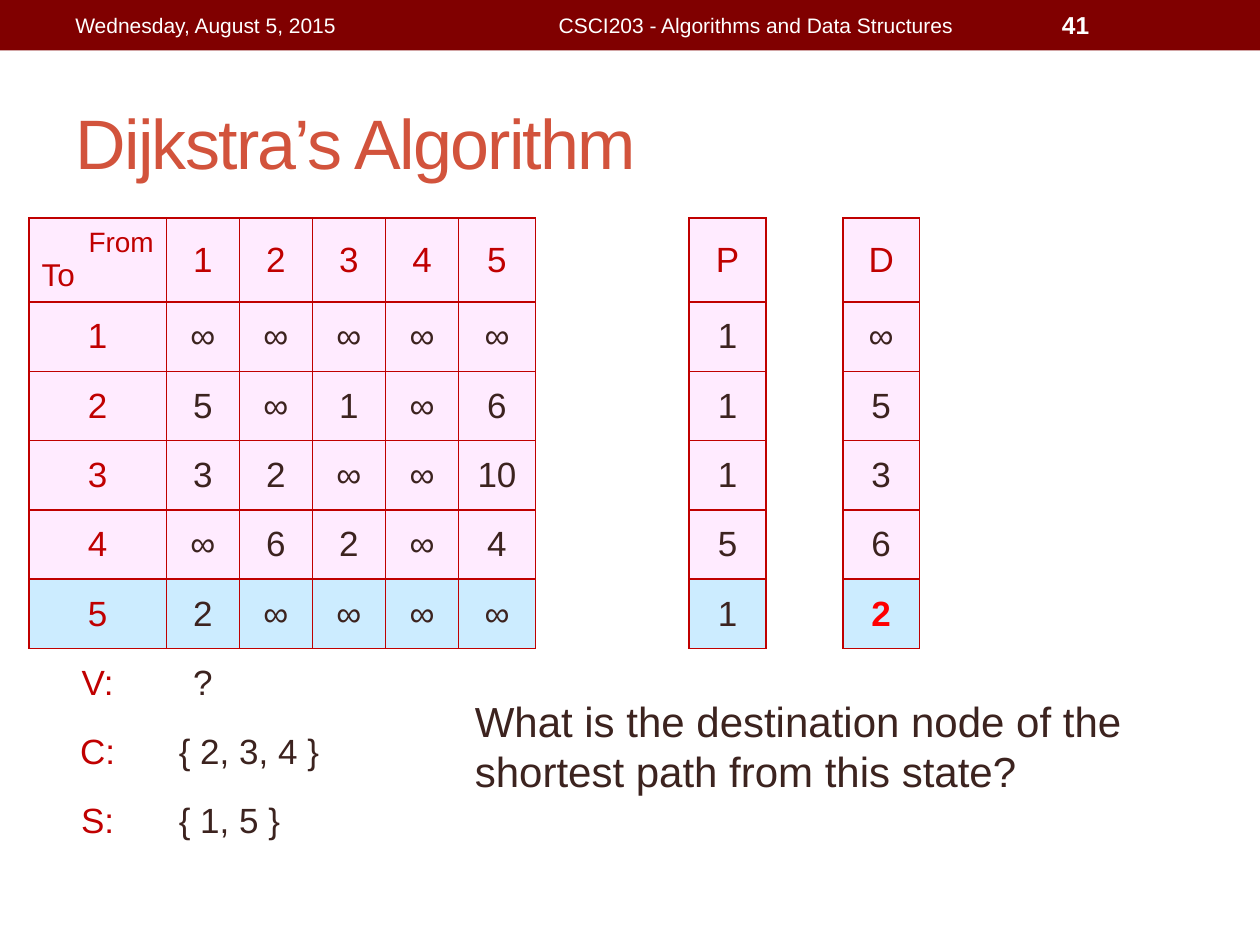
"""Build the slide on Dijkstra's algorithm with its distance, P and D columns."""
import dataclasses

import pptx
import pptx.dml.color
import pptx.enum.shapes
import pptx.enum.text
import pptx.oxml
import pptx.oxml.ns
import pptx.util

Inches = pptx.util.Inches
Align = pptx.enum.text.PP_ALIGN
Middle = pptx.enum.text.MSO_ANCHOR.MIDDLE


@dataclasses.dataclass(frozen=True)
class Theme:
    font: str = "Arial"
    bar: str = "800000"
    white: str = "FFFFFF"
    title: str = "D2533C"
    ink: str = "3C231F"
    label: str = "C00000"
    alert: str = "FF0000"
    pink: str = "FFEBFF"
    blue: str = "CCECFF"
    title_size: int = 40
    question_size: int = 24
    cell_size: int = 20
    to_size: int = 18
    from_size: int = 16
    number_size: int = 14
    header_size: int = 12


THEME = Theme()
NO_GRID_STYLE = "{2D5ABB26-0587-4C30-8999-92F81FD0307C}"
COLUMNS = [1.09] + [0.58] * 4 + [0.61] * 6
ROWS = [0.66] + [0.55] * 8
GAP_COLUMNS = (6, 7, 9)
LAST_NODE_ROW = 5
P_COLUMN, D_COLUMN = 8, 10
WEIGHTS = ["12345", "∞∞∞∞∞", "5∞1∞6", ["3", "2", "∞", "∞", "10"], "∞62∞4", "2∞∞∞∞"]
P_VALUES = "P11151"
D_VALUES = "D∞5362"
STATE = [("V:", "?"), ("C:", "{ 2, 3, 4 }"), ("S:", "{ 1, 5 }")]


def rgb(value):
    """Turn a hex string into a colour."""
    return pptx.dml.color.RGBColor.from_string(value)


def style(para, size, color, align=Align.LEFT, bold=False):
    """Set the font and alignment of a paragraph."""
    para.alignment = align
    para.font.name = THEME.font
    para.font.size = pptx.util.Pt(size)
    para.font.color.rgb = rgb(color)
    para.font.bold = bold


def add_bar(page):
    """Draw the band along the top edge."""
    bar = page.shapes.add_shape(
        pptx.enum.shapes.MSO_SHAPE.RECTANGLE, 0, 0, Inches(10), Inches(0.4))
    bar.shadow.inherit = False
    bar.fill.solid()
    bar.fill.fore_color.rgb = rgb(THEME.bar)
    bar.line.fill.background()


def set_title(page, text):
    """Place and format the title placeholder."""
    title = page.shapes.title
    title.left, title.top = Inches(0.5), Inches(0.58)
    title.width, title.height = Inches(9), Inches(1.08)
    frame = title.text_frame
    frame.text = text
    frame.auto_size = pptx.enum.text.MSO_AUTO_SIZE.NONE
    frame.vertical_anchor = Middle
    para = frame.paragraphs[0]
    style(para, THEME.title_size, THEME.title)
    para.runs[0].font._element.set("spc", "-100")


def add_text(page, text, place, size, color, align=Align.LEFT, bold=False,
             anchor=Middle):
    """Add a wrapped text box with one paragraph."""
    box = page.shapes.add_textbox(*map(Inches, place))
    frame = box.text_frame
    frame.word_wrap = True
    frame.vertical_anchor = anchor
    frame.text = text
    style(frame.paragraphs[0], size, color, align, bold)


def is_filled(row, column):
    """Tell whether a grid position belongs to one of the coloured blocks."""
    return (0 <= row <= LAST_NODE_ROW and 0 <= column < len(COLUMNS)
            and column not in GAP_COLUMNS)


def format_cell(cell, row, column):
    """Draw the edges that touch a coloured cell, clear the others, and fill."""
    cell.vertical_anchor = Middle
    properties = cell._tc.get_or_add_tcPr()
    neighbours = {"L": (0, -1), "R": (0, 1), "T": (-1, 0), "B": (1, 0)}
    namespace = pptx.oxml.ns.nsdecls("a")
    solid = f'<a:solidFill><a:srgbClr val="{THEME.label}"/></a:solidFill>'
    for side, (down, right) in neighbours.items():
        drawn = is_filled(row, column) or is_filled(row + down, column + right)
        properties.append(pptx.oxml.parse_xml(
            f'<a:ln{side} {namespace} w="12700">'
            f'{solid if drawn else "<a:noFill/>"}</a:ln{side}>'))
    if is_filled(row, column):
        cell.fill.solid()
        cell.fill.fore_color.rgb = rgb(
            THEME.blue if row == LAST_NODE_ROW else THEME.pink)
    else:
        cell.fill.background()


def write_cell(cell, text, color, align=Align.CENTER, bold=False):
    """Write one value into a cell."""
    cell.text = text
    style(cell.text_frame.paragraphs[0], THEME.cell_size, color, align, bold)


def write_nodes(table):
    """Write the weights and the P and D columns."""
    corner = table.cell(0, 0)
    corner.text = "From\nTo"
    source, target = corner.text_frame.paragraphs
    style(source, THEME.from_size, THEME.label, Align.RIGHT)
    style(target, THEME.to_size, THEME.label)
    for row, weights in enumerate(WEIGHTS):
        color = THEME.ink if row else THEME.label
        if row:
            write_cell(table.cell(row, 0), str(row), THEME.label)
        for column, weight in enumerate(weights, 1):
            write_cell(table.cell(row, column), weight, color)
        write_cell(table.cell(row, P_COLUMN), P_VALUES[row], color)
        chosen = row == LAST_NODE_ROW
        write_cell(table.cell(row, D_COLUMN), D_VALUES[row],
                   THEME.alert if chosen else color, bold=chosen)


def write_state(table):
    """Write the V, C and S rows, with the sets spanning the table."""
    for row, (name, value) in enumerate(STATE, LAST_NODE_ROW + 1):
        write_cell(table.cell(row, 0), name, THEME.label)
        is_set = value.startswith("{")
        if is_set:
            table.cell(row, 1).merge(table.cell(row, len(COLUMNS) - 1))
        write_cell(table.cell(row, 1), value, THEME.ink,
                   Align.LEFT if is_set else Align.CENTER)


def add_node_table(page):
    """Add the table of weights, results and state."""
    frame = page.shapes.add_table(
        len(ROWS), len(COLUMNS), Inches(0.23), Inches(1.73),
        Inches(sum(COLUMNS)), Inches(sum(ROWS)))
    table = frame.table
    table.first_row = table.horz_banding = False
    table._tbl.tblPr.find(pptx.oxml.ns.qn("a:tableStyleId")).text = NO_GRID_STYLE
    for column, width in zip(table.columns, COLUMNS):
        column.width = Inches(width)
    for row, height in zip(table.rows, ROWS):
        row.height = Inches(height)
    for row in range(len(ROWS)):
        for column in range(len(COLUMNS)):
            format_cell(table.cell(row, column), row, column)
    write_nodes(table)
    write_state(table)


def main():
    """Build and save the deck."""
    deck = pptx.Presentation()
    deck.slide_width, deck.slide_height = Inches(10), Inches(7.5)
    page = deck.slides.add_slide(deck.slide_layouts[5])
    add_bar(page)
    set_title(page, "Dijkstra’s Algorithm")
    add_text(page, "Wednesday, August 5, 2015", (0.5, 0.02, 3.17, 0.36),
             THEME.header_size, THEME.white)
    add_text(page, "CSCI203 - Algorithms and Data Structures",
             (3.75, 0.02, 4.5, 0.36), THEME.header_size, THEME.white, Align.CENTER)
    add_text(page, "41", (8.33, 0.02, 1.17, 0.36),
             THEME.number_size, THEME.white, bold=True)
    add_node_table(page)
    add_text(page, "What is the destination node of the shortest path from this state?",
             (3.67, 5.47, 5.94, 0.91), THEME.question_size, THEME.ink,
             anchor=pptx.enum.text.MSO_ANCHOR.TOP)
    deck.save("out.pptx")


if __name__ == "__main__":
    main()
